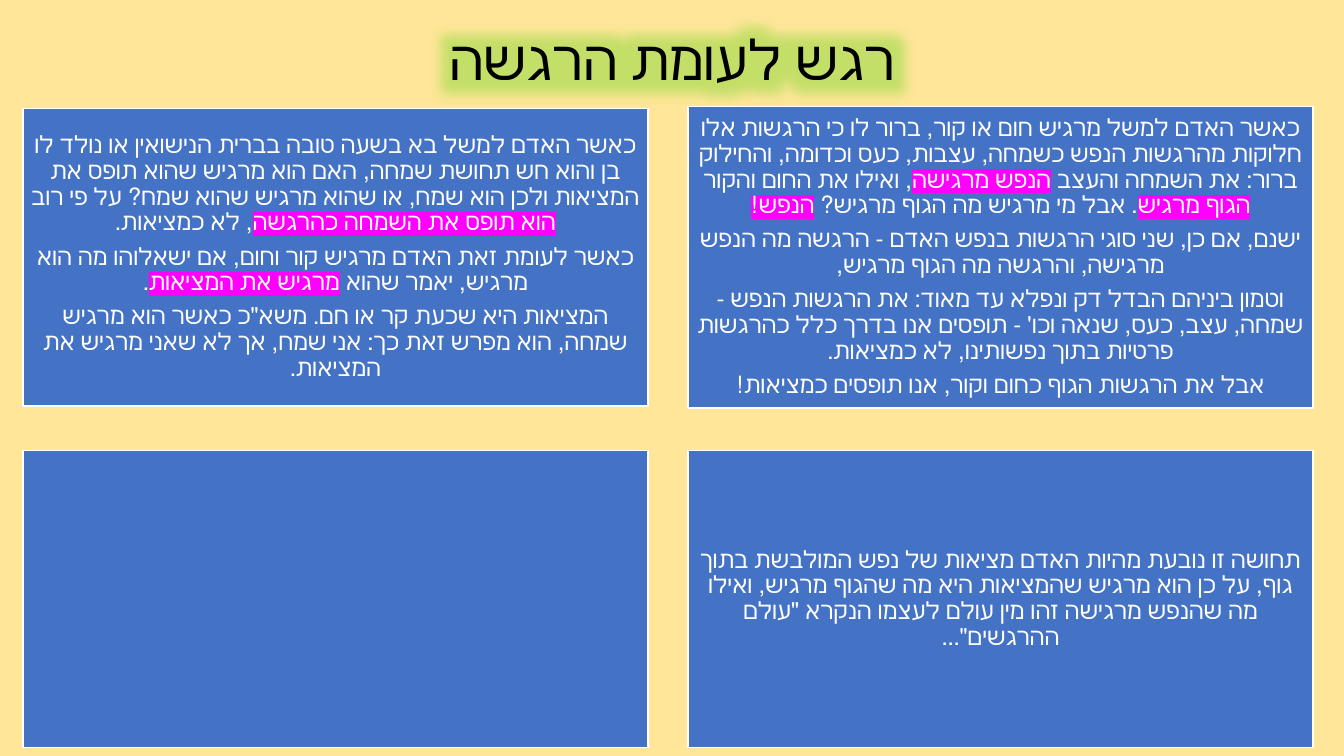
import dataclasses

import lxml.etree
import pptx
import pptx.dml.color
import pptx.enum.shapes
import pptx.enum.text
import pptx.oxml.ns
import pptx.util

Cm = pptx.util.Cm
Pt = pptx.util.Pt
qn = pptx.oxml.ns.qn
rgb = pptx.dml.color.RGBColor.from_string


@dataclasses.dataclass(frozen=True)
class Theme:
    font: str = "Calibri"
    title_size: float = 39.6
    body_size: float = 17
    background: str = "FFE699"
    title_text: str = "000000"
    card_fill: str = "4472C4"
    card_text: str = "FFFFFF"
    highlight: str = "FF00FF"
    glow: str = "6CD61F"


THEME = Theme()

TITLE = "רגש לעומת הרגשה"

# Text between bars is highlighted
SOUL_AND_BODY = [
    "כאשר האדם למשל מרגיש חום או קור, ברור לו כי הרגשות אלו חלוקות מהרגשות הנפש כשמחה, "
    "עצבות, כעס וכדומה, והחילוק ברור: את השמחה והעצב |הנפש מרגישה|, ואילו את החום והקור "
    "|הגוף מרגיש|. אבל מי מרגיש מה הגוף מרגיש? |הנפש!|",
    "ישנם, אם כן, שני סוגי הרגשות בנפש האדם - הרגשה מה הנפש מרגישה, והרגשה מה הגוף מרגיש,",
    "וטמון ביניהם הבדל דק ונפלא עד מאוד: את הרגשות הנפש - שמחה, עצב, כעס, שנאה וכו' - "
    "תופסים אנו בדרך כלל כהרגשות פרטיות בתוך נפשותינו, לא כמציאות.",
    "אבל את הרגשות הגוף כחום וקור, אנו תופסים כמציאות!",
]
JOY_AND_COLD = [
    "כאשר האדם למשל בא בשעה טובה בברית הנישואין או נולד לו בן והוא חש תחושת שמחה, האם הוא "
    "מרגיש שהוא תופס את המציאות ולכן הוא שמח, או שהוא מרגיש שהוא שמח? על פי רוב "
    "|הוא תופס את השמחה כהרגשה|, לא כמציאות.",
    "כאשר לעומת זאת האדם מרגיש קור וחום, אם ישאלוהו מה הוא מרגיש, יאמר שהוא "
    "|מרגיש את המציאות|.",
    "המציאות היא שכעת קר או חם. משא\"כ כאשר הוא מרגיש שמחה, הוא מפרש זאת כך: אני שמח, "
    "אך לא שאני מרגיש את המציאות.",
]
WORLD_OF_FEELINGS = [
    "תחושה זו נובעת מהיות האדם מציאות של נפש המולבשת בתוך גוף, על כן הוא מרגיש שהמציאות "
    "היא מה שהגוף מרגיש, ואילו מה שהנפש מרגישה זהו מין עולם לעצמו הנקרא "
    "\"עולם ההרגשים\"...",
]


def apply_format(target, values):
    for name, value in values.items():
        setattr(target, name, value)


def place(shape, box):
    apply_format(shape, dict(zip(("left", "top", "width", "height"), map(Cm, box))))


def format_paragraph(paragraph, space_after):
    apply_format(paragraph, {
        "alignment": pptx.enum.text.PP_ALIGN.CENTER,
        "line_spacing": 0.9,
        "space_before": Pt(0),
        "space_after": Pt(space_after),
    })
    paragraph._p.get_or_add_pPr().set("rtl", "1")


def add_run(paragraph, text, size, color):
    run = paragraph.add_run()
    run.text = text
    apply_format(run.font, {"size": Pt(size), "name": THEME.font})
    run.font.color.rgb = rgb(color)
    properties = run._r.get_or_add_rPr()
    properties.set("lang", "he-IL")
    return properties


def add_effect(properties, element, color, alpha=None):
    """Put a run effect right after the text fill."""
    properties.find(qn("a:solidFill")).addnext(element)
    holder = element if len(element) == 0 else element[0]
    color_element = lxml.etree.SubElement(holder, qn("a:srgbClr"), val=color)
    if alpha is not None:
        lxml.etree.SubElement(color_element, qn("a:alpha"), val=str(alpha * 1000))


def add_title(slide, box):
    title = slide.shapes.title
    place(title, box)
    apply_format(title.text_frame, {
        "word_wrap": True,
        "auto_size": pptx.enum.text.MSO_AUTO_SIZE.NONE,
        "vertical_anchor": pptx.enum.text.MSO_ANCHOR.MIDDLE,
    })
    paragraph = title.text_frame.paragraphs[0]
    format_paragraph(paragraph, 0)
    properties = add_run(paragraph, TITLE, THEME.title_size, THEME.title_text)
    # Soft green glow behind the letters
    effects = lxml.etree.Element(qn("a:effectLst"))
    lxml.etree.SubElement(effects, qn("a:glow"), rad=str(Pt(40)))
    add_effect(properties, effects, THEME.glow, alpha=40)


def add_card(slide, box, texts):
    card = slide.shapes.add_shape(pptx.enum.shapes.MSO_SHAPE.RECTANGLE, *map(Cm, box))
    card.shadow.inherit = False
    card.fill.solid()
    card.fill.fore_color.rgb = rgb(THEME.card_fill)
    card.line.color.rgb = rgb(THEME.card_text)
    card.line.width = Pt(1)
    frame = card.text_frame
    apply_format(frame, {
        "word_wrap": True,
        "vertical_anchor": pptx.enum.text.MSO_ANCHOR.MIDDLE,
        **{f"margin_{side}": Cm(0.18) for side in ("left", "top", "right", "bottom")},
    })
    for index, text in enumerate(texts):
        paragraph = frame.add_paragraph() if index else frame.paragraphs[0]
        format_paragraph(paragraph, 6)
        for part, segment in enumerate(text.split("|")):
            if not segment:
                continue
            properties = add_run(paragraph, segment, THEME.body_size, THEME.card_text)
            if part % 2:
                highlight = lxml.etree.Element(qn("a:highlight"))
                add_effect(properties, highlight, THEME.highlight)


def add_card_grid(slide, box):
    left, top, width, height = box
    column_gap, row_gap = 1.01, 1.12
    card_width = (width - column_gap) / 2
    card_height = (height - row_gap) / 2
    # Column, row, extra height above and below, text
    cards = [
        (0, 0, 0, JOY_AND_COLD),
        (1, 0, 0.05, SOUL_AND_BODY),
        (0, 1, 0, []),
        (1, 1, 0, WORLD_OF_FEELINGS),
    ]
    for column, row, extra, texts in cards:
        card_left = left + column * (card_width + column_gap)
        card_top = top + row * (card_height + row_gap) - extra
        add_card(slide, (card_left, card_top, card_width, card_height + 2 * extra), texts)


def main():
    presentation = pptx.Presentation()
    apply_format(presentation, {"slide_width": Cm(33.87), "slide_height": Cm(19.05)})
    slide = presentation.slides.add_slide(presentation.slide_layouts[5])
    slide.background.fill.solid()
    slide.background.fill.fore_color.rgb = rgb(THEME.background)
    add_title(slide, (2.33, 1.02, 29.21, 1.12))
    add_card_grid(slide, (0.58, 2.74, 32.51, 16.1))
    presentation.save("out.pptx")


if __name__ == "__main__":
    main()
